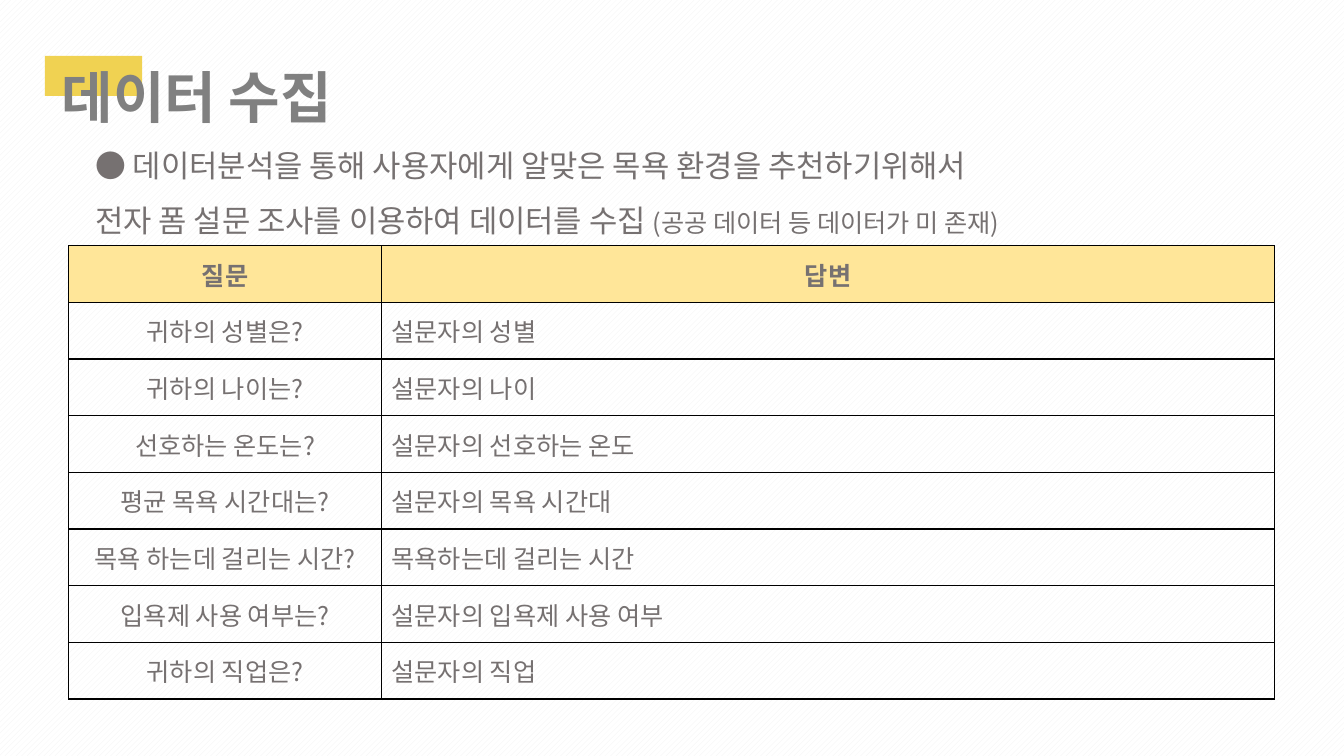
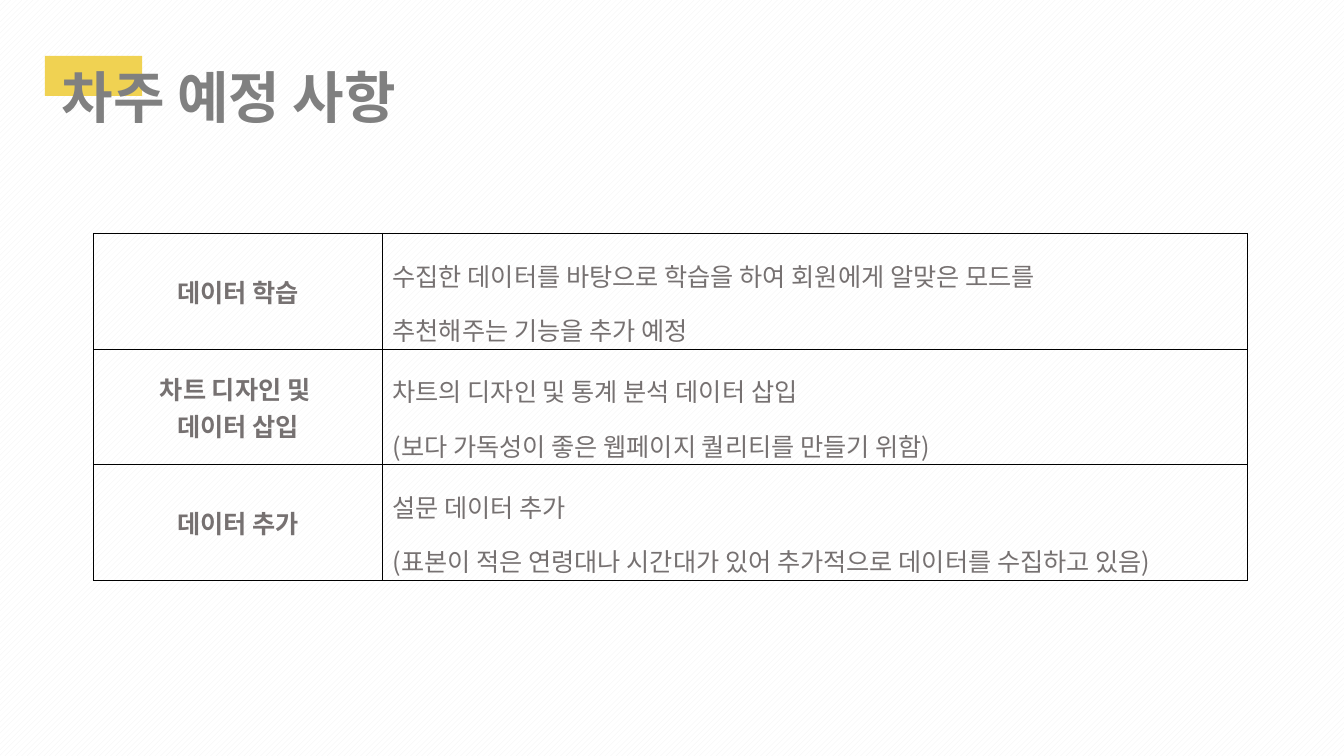
"""Build two slides on survey data collection and next week's plan."""
from pptx import Presentation
from pptx.dml.color import RGBColor
from pptx.enum.dml import MSO_PATTERN
from pptx.enum.shapes import MSO_SHAPE
from pptx.enum.text import MSO_ANCHOR, MSO_AUTO_SIZE, PP_ALIGN
from pptx.oxml import parse_xml
from pptx.oxml.ns import nsdecls
from pptx.util import Pt

FONT = "Noto Sans CJK KR"
YELLOW = RGBColor(0xF0, 0xD2, 0x52)
HEADER_FILL = RGBColor(0xFF, 0xE6, 0x99)
TITLE_GRAY = RGBColor(0x80, 0x80, 0x80)
TEXT_GRAY = RGBColor(0x76, 0x71, 0x71)
STRIPE = RGBColor(0xF2, 0xF2, 0xF2)
WHITE = RGBColor(0xFF, 0xFF, 0xFF)


def style_text(frame, size, color=TEXT_GRAY, bold=False, align=PP_ALIGN.LEFT, spacing=None):
    for para in frame.paragraphs:
        para.alignment = align
        para.line_spacing = spacing
        for span in para.runs:
            span.font.size = Pt(size)
            span.font.bold = bold
            span.font.color.rgb = color
            span.font.name = FONT
            span.font._element.append(parse_xml(f'<a:ea {nsdecls("a")} typeface="{FONT}"/>'))


def add_text_box(page, left, top, width, height, text):
    box = page.shapes.add_textbox(Pt(left), Pt(top), Pt(width), Pt(height))
    frame = box.text_frame
    frame.word_wrap = True
    frame.auto_size = MSO_AUTO_SIZE.SHAPE_TO_FIT_TEXT
    frame.text = text
    return frame


SURVEY = [
    ("질문", "답변"),
    ("귀하의 성별은?", "설문자의 성별"),
    ("귀하의 나이는?", "설문자의 나이"),
    ("선호하는 온도는?", "설문자의 선호하는 온도"),
    ("평균 목욕 시간대는?", "설문자의 목욕 시간대"),
    ("목욕 하는데 걸리는 시간?", "목욕하는데 걸리는 시간"),
    ("입욕제 사용 여부는?", "설문자의 입욕제 사용 여부"),
    ("귀하의 직업은?", "설문자의 직업"),
]
PLAN = [
    ("데이터 학습",
     "수집한 데이터를 바탕으로 학습을 하여 회원에게 알맞은 모드를\n추천해주는 기능을 추가 예정"),
    ("차트 디자인 및 \n데이터 삽입",
     "차트의 디자인 및 통계 분석 데이터 삽입\n(보다 가독성이 좋은 웹페이지 퀄리티를 만들기 위함)"),
    ("데이터 추가",
     "설문 데이터 추가\n(표본이 적은 연령대나 시간대가 있어 추가적으로 데이터를 수집하고 있음)"),
]
SLIDES = [
    dict(title="데이터 수집", rows=SURVEY, left=49, top=175.5, columns=(223.5, 638),
         row_height=40.5, has_header=True, spacing=None),
    dict(title="차주 예정 사항", rows=PLAN, left=66.8, top=166.8, columns=(206.4, 617.8),
         row_height=82.6, has_header=False, spacing=1.5),
]

deck = Presentation()
deck.slide_width, deck.slide_height = Pt(960), Pt(540)
backdrop = deck.slide_master.background.fill
backdrop.patterned()
backdrop.pattern = MSO_PATTERN.WIDE_UPWARD_DIAGONAL
backdrop.fore_color.rgb = STRIPE
backdrop.back_color.rgb = WHITE

for content in SLIDES:
    page = deck.slides.add_slide(deck.slide_layouts[6])

    accent = page.shapes.add_shape(MSO_SHAPE.RECTANGLE, Pt(32), Pt(40), Pt(69.5), Pt(28.5))
    accent.shadow.inherit = False
    accent.fill.solid()
    accent.fill.fore_color.rgb = YELLOW
    accent.line.fill.background()

    title = add_text_box(page, 37, 41, 760, 55.5, content["title"])
    style_text(title, 40, TITLE_GRAY, bold=True)

    rows, columns = content["rows"], content["columns"]
    table = page.shapes.add_table(
        len(rows), len(columns), Pt(content["left"]), Pt(content["top"]),
        Pt(sum(columns)), Pt(content["row_height"] * len(rows))).table
    table.first_row = content["has_header"]
    table.horz_banding = False
    for column, width in zip(table.columns, columns):
        column.width = Pt(width)

    for row_index, row in enumerate(rows):
        table.rows[row_index].height = Pt(content["row_height"])
        is_header = content["has_header"] and row_index == 0
        for column_index, text in enumerate(row):
            cell = table.cell(row_index, column_index)
            cell.vertical_anchor = MSO_ANCHOR.MIDDLE
            cell.text_frame.text = text
            is_label = column_index == 0
            style_text(
                cell.text_frame, 18,
                bold=is_header or (is_label and not content["has_header"]),
                align=PP_ALIGN.CENTER if is_header or is_label else PP_ALIGN.LEFT,
                spacing=None if is_label else content["spacing"])
            properties = cell._tc.get_or_add_tcPr()
            for side in ("lnL", "lnR", "lnT", "lnB"):
                properties.append(parse_xml(
                    f'<a:{side} {nsdecls("a")} w="12700"><a:solidFill>'
                    f'<a:srgbClr val="000000"/></a:solidFill></a:{side}>'))
            if is_header:
                cell.fill.solid()
                cell.fill.fore_color.rgb = HEADER_FILL
            else:
                cell.fill.background()

intro = add_text_box(
    deck.slides[0], 61, 88, 838, 82,
    "● 데이터분석을 통해 사용자에게 알맞은 목욕 환경을 추천하기위해서\n"
    "전자 폼 설문 조사를 이용하여 데이터를 수집 ")
remark = intro.paragraphs[1].add_run()
remark.text = "(공공 데이터 등 데이터가 미 존재)"
style_text(intro, 22, spacing=1.5)
remark.font.size = Pt(18)

deck.save("out.pptx")
